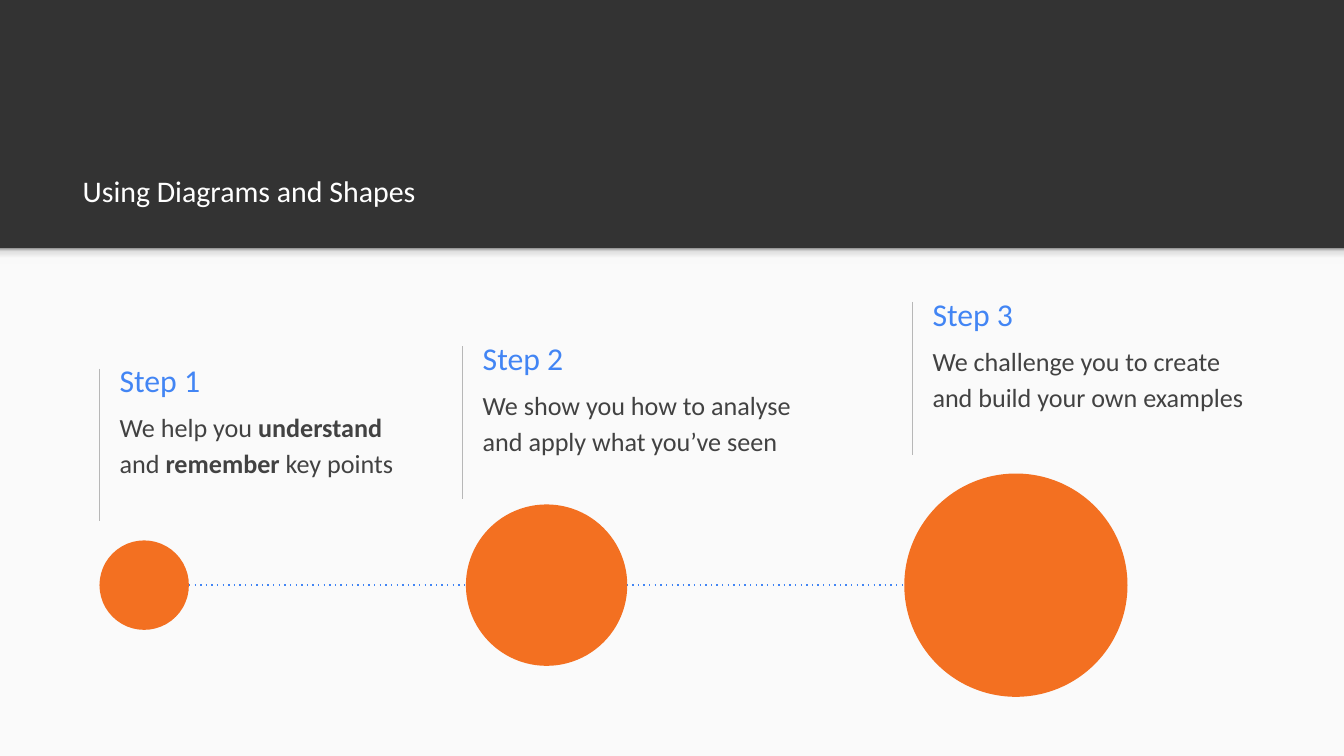
from copy import deepcopy
from dataclasses import dataclass

from lxml import etree
from pptx import Presentation
from pptx.dml.color import RGBColor
from pptx.enum import dml, shapes, text
from pptx.oxml import ns
from pptx.util import Inches, Pt

DARK = RGBColor(0x33, 0x33, 0x33)
PALE = RGBColor(0xFA, 0xFA, 0xFA)
WHITE = RGBColor(0xFF, 0xFF, 0xFF)
GREY = RGBColor(0xB7, 0xB7, 0xB7)
INK = RGBColor(0x42, 0x42, 0x42)
BLUE = RGBColor(0x42, 0x85, 0xF4)
ORANGE = RGBColor(0xF3, 0x70, 0x21)
SHADE = [(0, "F9F9F9"), (36, "F9F9F9"), (80, "DEDEDE"), (100, "999999")]

FONT = "Calibri"
WIDTH, HEIGHT = 19.99, 11.24
EDGE = 3.69  # bottom of the dark header
AXIS = 8.7  # height of the circle centres


@dataclass
class Step:
    name: str
    body: list[tuple[str, bool]]  # words, bold
    left: float
    top: float
    wide: float
    dot: float  # left edge of the circle
    size: float


STEPS = [
    Step("Step 1",
         [("We help you ", False), ("understand", True), (" and ", False),
          ("remember", True), (" key points", False)],
         1.48, 5.48, 4.58, 1.48, 1.33),
    Step("Step 2",
         [("We show you how to analyse and apply what you’ve seen", False)],
         6.88, 5.15, 5.33, 6.93, 2.4),
    Step("Step 3",
         [("We challenge you to create and build your own examples", False)],
         13.57, 4.49, 5.33, 13.45, 3.32),
]


def add_run(para, words: str, size: int, color: RGBColor, bold: bool = False) -> None:
    run = para.add_run()
    run.text = words
    run.font.name = FONT
    run.font.size = Pt(size)
    run.font.bold = bold
    run.font.color.rgb = color


def set_frame(frame, anchor) -> None:
    frame.word_wrap = True
    frame.auto_size = text.MSO_AUTO_SIZE.NONE
    frame.vertical_anchor = anchor
    frame.margin_left = frame.margin_right = Inches(0.2)
    frame.margin_top = frame.margin_bottom = Inches(0.2)


def add_text(slide, left: float, top: float, width: float, height: float, anchor):
    """Add a text box and return its first paragraph."""
    box = slide.shapes.add_textbox(
        Inches(left), Inches(top), Inches(width), Inches(height))
    set_frame(box.text_frame, anchor)
    return box.text_frame.paragraphs[0]


def add_form(slide, kind, left: float, top: float, width: float, height: float,
             color: RGBColor):
    form = slide.shapes.add_shape(
        kind, Inches(left), Inches(top), Inches(width), Inches(height))
    form.shadow.inherit = False
    form.fill.solid()
    form.fill.fore_color.rgb = color
    form.line.fill.background()
    return form


def add_line(slide, x1: float, y1: float, x2: float, y2: float,
             color: RGBColor, width: float):
    line = slide.shapes.add_connector(
        shapes.MSO_CONNECTOR.STRAIGHT, Inches(x1), Inches(y1), Inches(x2), Inches(y2))
    line.line.color.rgb = color
    line.line.width = Pt(width)
    etree.SubElement(line._element.spPr, ns.qn("a:effectLst"))
    return line


def add_shade(slide) -> None:
    """Add the soft shadow strip under the header."""
    strip = add_form(slide, shapes.MSO_SHAPE.RECTANGLE, 0, EDGE, WIDTH, 0.24, PALE)
    strip.fill.gradient()
    strip.fill.gradient_angle = 90
    stops = strip._element.spPr.find(".//" + ns.qn("a:gsLst"))
    first = stops[0]
    stops.clear()
    for _ in SHADE:
        stops.append(deepcopy(first))
    for stop, (place, color) in zip(strip.fill.gradient_stops, SHADE):
        stop.position = place / 100
        stop.color.rgb = RGBColor.from_string(color)


def add_title(slide, words: str) -> None:
    title = slide.shapes.title
    title.left, title.top = Inches(1.03), Inches(1.62)
    title.width, title.height = Inches(17.98), Inches(1.68)
    set_frame(title.text_frame, text.MSO_ANCHOR.BOTTOM)
    para = title.text_frame.paragraphs[0]
    para.alignment = text.PP_ALIGN.LEFT
    add_run(para, words, 32, WHITE)


def add_step(slide, step: Step) -> None:
    add_line(slide, step.left, step.top, step.left, step.top + 2.27, GREY, 0.75)
    inner = step.left + 0.1
    head = add_text(slide, inner, step.top - 0.26, 3.97, 0.86, text.MSO_ANCHOR.MIDDLE)
    add_run(head, step.name, 34, BLUE)
    body = add_text(slide, inner, step.top + 0.37, step.wide, 1.27, text.MSO_ANCHOR.TOP)
    body.line_spacing = 1.15
    body.space_after = Pt(32)
    for words, bold in step.body:
        add_run(body, words, 28, INK, bold)


def main() -> None:
    deck = Presentation()
    deck.slide_width, deck.slide_height = Inches(WIDTH), Inches(HEIGHT)
    slide = deck.slides.add_slide(deck.slide_layouts[5])
    slide.background.fill.solid()
    slide.background.fill.fore_color.rgb = DARK

    add_form(slide, shapes.MSO_SHAPE.RECTANGLE, 0, EDGE, WIDTH, HEIGHT - EDGE, PALE)
    add_shade(slide)
    add_title(slide, "Using Diagrams and Shapes")
    for step in STEPS:
        add_step(slide, step)

    first, last = STEPS[0], STEPS[-1]
    link = add_line(slide, first.dot + first.size, AXIS, last.dot, AXIS, BLUE, 1.5)
    link.line.dash_style = dml.MSO_LINE.ROUND_DOT
    # ROUND_DOT is written as sysDot; the link uses the wider preset "dot"
    link._element.spPr.find(".//" + ns.qn("a:prstDash")).set("val", "dot")
    for step in STEPS:
        add_form(slide, shapes.MSO_SHAPE.OVAL, step.dot, AXIS - step.size / 2,
                 step.size, step.size, ORANGE)
    deck.save("out.pptx")


if __name__ == "__main__":
    main()
